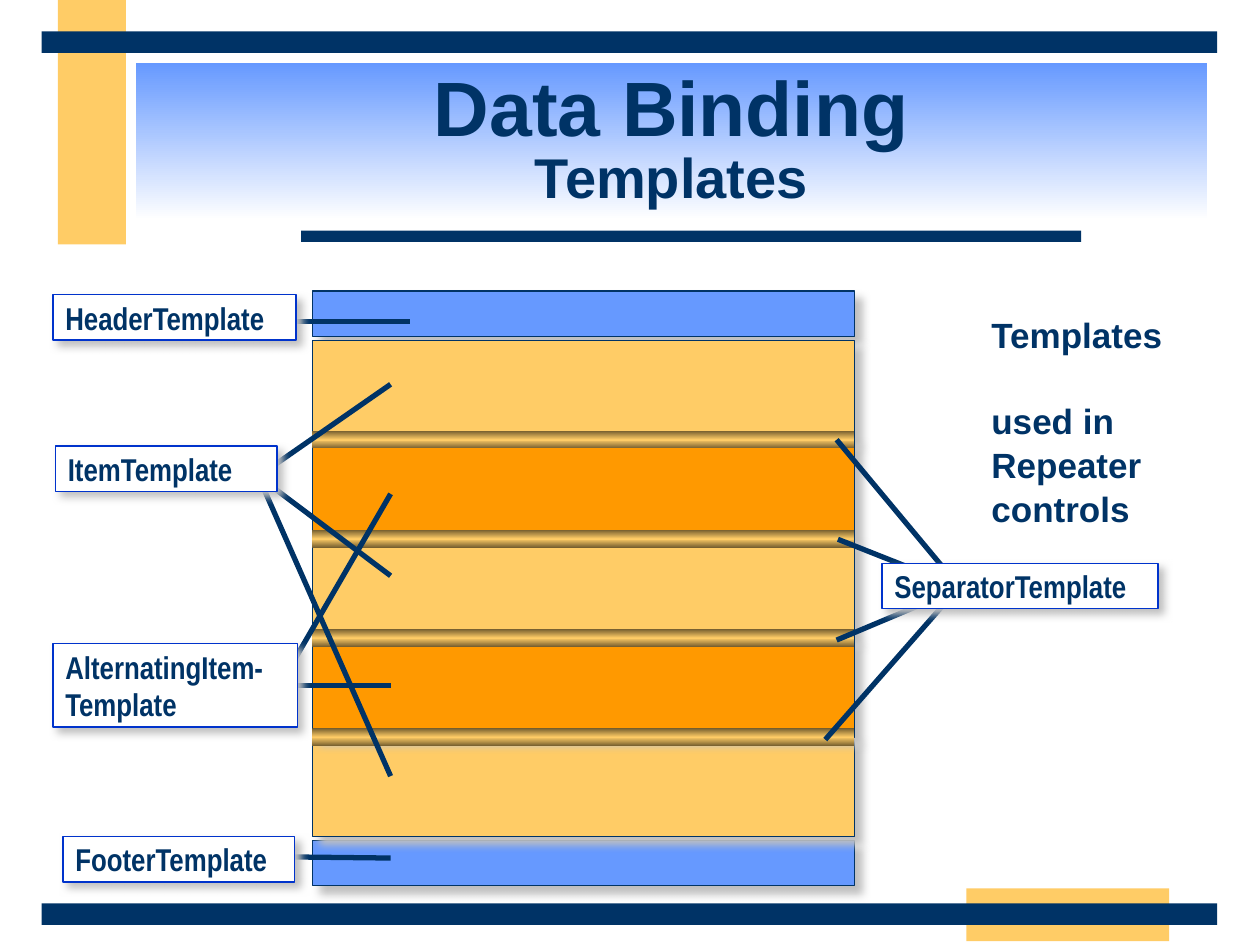
from collections import namedtuple
from lxml.etree import SubElement
from pptx import Presentation
from pptx.dml.color import RGBColor
from pptx.enum.shapes import MSO_CONNECTOR, MSO_SHAPE
from pptx.enum.text import MSO_ANCHOR, PP_ALIGN
from pptx.oxml.ns import qn
from pptx.util import Inches, Pt

COLORS = {
    "navy": "003366", "gold": "FFCC66", "orange": "FF9900", "sky": "6699FF",
    "white": "FFFFFF", "border": "0033CC", "bronze": "755E2F", "shade": "C0C0C0",
}
WIDTH, HEIGHT = Inches(10), Inches(7.5)
COLUMN, ROW = WIDTH / 100, HEIGHT / 75
Box = namedtuple("Box", "left top width height")
LABEL_HEIGHT = 3.6


def color(name):
    return RGBColor.from_string(COLORS[name])


def within(box, left, top, width, height):
    return Box(box.left + left, box.top + top, width, height)


def emu(box):
    return [int(value * unit) for value, unit in zip(box, (COLUMN, ROW) * 2)]


def paint_gradient(shape, names):
    shape.fill.gradient()
    shape.fill.gradient_angle = 270
    stops = shape._element.spPr.find(qn("a:gradFill")).find(qn("a:gsLst"))
    for stop in list(stops):
        stops.remove(stop)
    for index, name in enumerate(names):
        position = str(index * 100000 // (len(names) - 1))
        stop = SubElement(stops, qn("a:gs"), pos=position)
        SubElement(stop, qn("a:srgbClr"), val=COLORS[name])


def add_shadow(shape, distance):
    effects = shape._element.spPr.find(qn("a:effectLst"))
    shadow = SubElement(effects, qn("a:outerShdw"), blurRad=str(Pt(5)),
                        dist=str(Pt(distance)), dir="2700000",
                        algn="ctr", rotWithShape="0")
    SubElement(shadow, qn("a:srgbClr"), val=COLORS["shade"])


def add_rectangle(slide, box, fills, line=None, shadow=0):
    shape = slide.shapes.add_shape(MSO_SHAPE.RECTANGLE, *emu(box))
    shape.shadow.inherit = False
    if len(fills) > 1:
        paint_gradient(shape, fills)
    else:
        shape.fill.solid()
        shape.fill.fore_color.rgb = color(fills[0])
    if line:
        shape.line.color.rgb = color(line)
        shape.line.width = Pt(0.75)
    else:
        shape.line.fill.background()
    if shadow:
        add_shadow(shape, shadow)
    return shape


def write(shape, paragraphs, frame_format, paragraph_format, font="Arial"):
    frame = shape.text_frame
    for name, value in frame_format.items():
        setattr(frame, name, value)
    for index, runs in enumerate(paragraphs):
        paragraph = frame.add_paragraph() if index else frame.paragraphs[0]
        for name, value in paragraph_format.items():
            setattr(paragraph, name, value)
        for position, (text, size) in enumerate(runs):
            if position:
                paragraph.add_line_break()
            run = paragraph.add_run()
            run.text = text
            run.font.color.rgb = color("navy")
            for name, value in {"name": font, "size": Pt(size), "bold": True}.items():
                setattr(run.font, name, value)
    return frame


def add_line(slide, start, end):
    points = [int(value * unit) for value, unit in zip(start + end, (COLUMN, ROW) * 2)]
    connector = slide.shapes.add_connector(MSO_CONNECTOR.STRAIGHT, *points)
    connector.line.color.rgb = color("navy")
    connector.line.width = Pt(3)
    SubElement(connector._element.spPr, qn("a:effectLst"))


def add_label(slide, box, lines):
    label = add_rectangle(slide, box, ["white"], "border", 4.2)
    frame_format = {"word_wrap": True, "vertical_anchor": MSO_ANCHOR.MIDDLE,
                    "margin_top": Inches(0.03), "margin_bottom": Inches(0.03)}
    write(label, [[(line, 18) for line in lines]], frame_format,
          {"alignment": PP_ALIGN.LEFT}, "Arial Narrow")


def add_frame(slide, box):
    for name, *place in [
        ("gold", 4.6, 0, 5.4, 19.4), ("gold", 76.7, 70.5, 16.1, 4.2),
        ("navy", 23.9, 18.3, 61.9, 0.9), ("navy", 3.3, 71.7, 93.3, 1.7),
        ("navy", 3.3, 2.5, 93.3, 1.7),
    ]:
        add_rectangle(slide, within(box, *place), [name])


def add_title(slide, box):
    title = add_rectangle(slide, box, ["sky", "white"])
    write(title, [[("Data Binding", 44), ("Templates", 32)]],
          {"word_wrap": True, "vertical_anchor": MSO_ANCHOR.MIDDLE},
          {"alignment": PP_ALIGN.CENTER, "line_spacing": 0.85})


def add_repeater(slide, box):
    pitch, first, edge = 7.87, 3.9, 3.6
    for top in (0, box.height - edge):
        add_rectangle(slide, within(box, 0, top, box.width, edge), ["sky"], "navy", 5.7)
    for index in (0, 1, 2, 4, 3):
        place = within(box, 0, first + index * pitch, box.width, 7.9)
        add_rectangle(slide, place, [("gold", "orange")[index % 2]], "navy", 5.7)
    for index in range(4):
        place = within(box, 0, 11.1 + index * pitch, box.width, 1.4)
        add_rectangle(slide, place, ["bronze", "gold", "bronze"])


def add_callouts(slide, box):
    header, item = (22, 25.5), (20.5, 37.8)
    alternating, footer = (22.2, 54.4), (22.2, 68)
    for start, end in [
        ((76.9, 45.7), (65.5, 58.7)), ((76.4, 46.6), (66.4, 50.8)),
        ((76.1, 46.6), (66.5, 42.8)), ((76.4, 46.9), (66.4, 34.9)),
        (header, (32.5, 25.5)), (item, (31, 30.5)), (item, (31, 45.7)),
        (item, (31, 61.6)), (footer, (31, 68.1)), (alternating, (31, 54.4)),
        (alternating, (31, 39.2)),
    ]:
        add_line(slide, start, end)
    for left, top, width, *lines in [
        (70, 44.7, 21.9, "SeparatorTemplate"), (5, 66.4, 18.4, "FooterTemplate"),
        (4.2, 23.4, 19.3, "HeaderTemplate"),
        (4.2, 51.1, 19.4, "AlternatingItem-", "Template"),
        (4.4, 35.4, 17.6, "ItemTemplate"),
    ]:
        height = LABEL_HEIGHT + 3 * (len(lines) - 1)
        add_label(slide, within(box, left, top, width, height), lines)


def add_note(slide, box):
    note = slide.shapes.add_textbox(*emu(box))
    lines = [(line, 20) for line in ("used in", "Repeater", "controls")]
    frame = write(note, [[("Templates", 20)], lines],
                  {"word_wrap": False}, {"line_spacing": 1.05})
    frame.paragraphs[0].space_after = Pt(24)


def main():
    presentation = Presentation()
    presentation.slide_width, presentation.slide_height = WIDTH, HEIGHT
    slide = presentation.slides.add_slide(presentation.slide_layouts[6])
    page = Box(0, 0, 100, 75)
    add_frame(slide, page)
    add_title(slide, Box(10.8, 5, 85, 12.5))
    add_repeater(slide, Box(24.8, 23.1, 43, 47.2))
    add_callouts(slide, page)
    add_note(slide, Box(77.7, 24.2, 16.3, 14.4))
    presentation.save("out.pptx")


if __name__ == "__main__":
    main()
